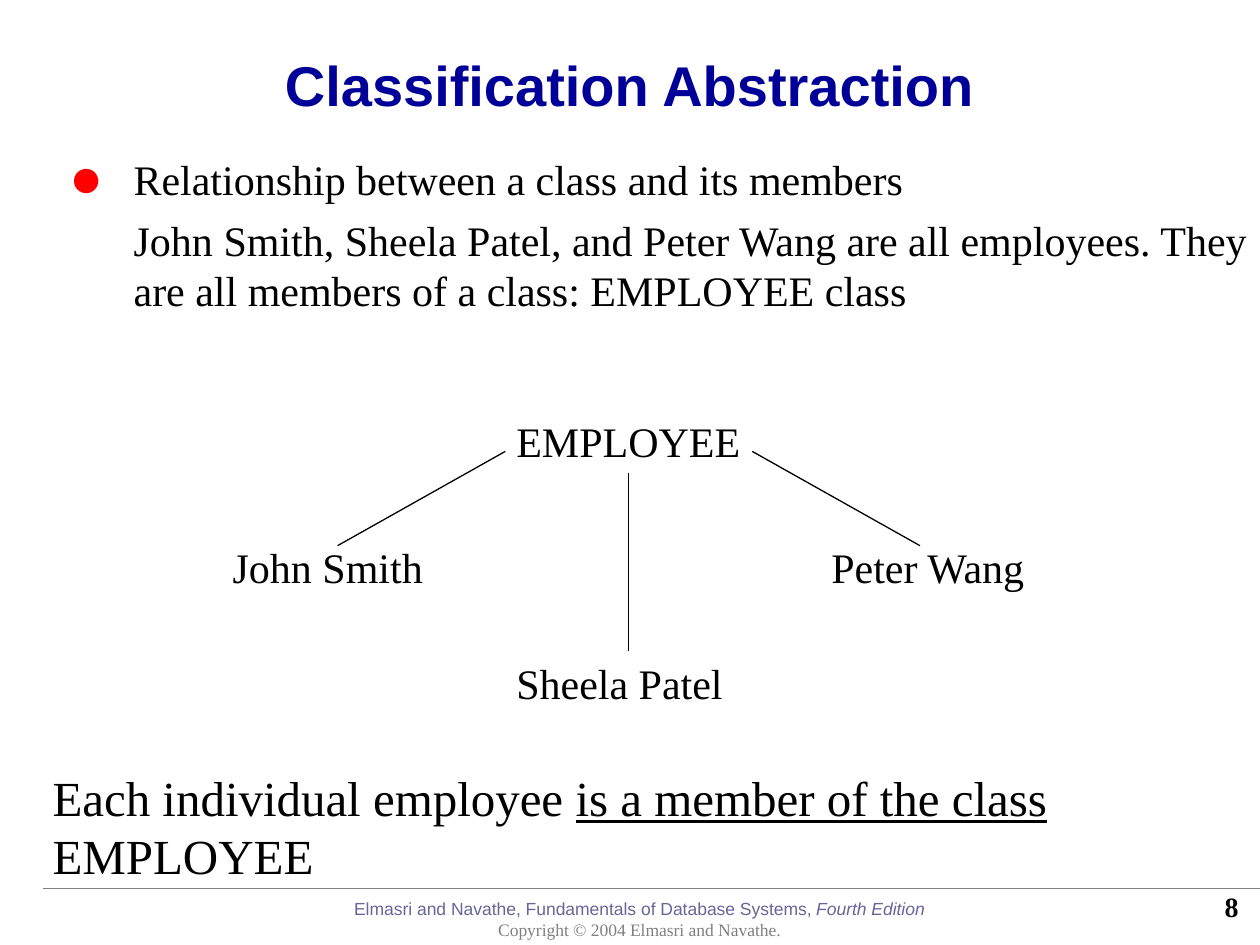
from lxml import etree
from pptx import Presentation
from pptx.dml.color import RGBColor
from pptx.enum import shapes, text
from pptx.oxml import ns
from pptx.util import Cm, Pt

COLORS = {
    "title": "000099", "text": "000000", "bullet": "FF0000",
    "book": "666699", "muted": "808080",
}
SERIF, SANS = "Times New Roman", "Arial"


def style_run(run, color="text", **formats):
    values = {"name": SERIF, "size": Pt(24), **formats}
    for key, value in values.items():
        setattr(run.font, key, value)
    run.font.color.rgb = RGBColor.from_string(COLORS[color])


def add_run(paragraph, words, **formats):
    run = paragraph.add_run()
    run.text = words
    style_run(run, **formats)


def place(shape, box):
    for key, value in zip(("left", "top", "width", "height"), box):
        setattr(shape, key, Cm(value))


def set_frame(shape, **formats):
    values = {"word_wrap": True, "auto_size": text.MSO_AUTO_SIZE.NONE,
              "vertical_anchor": text.MSO_ANCHOR.TOP, **formats}
    for key, value in values.items():
        setattr(shape.text_frame, key, value)
    return shape.text_frame


def add_text(slide, box, **formats):
    textbox = slide.shapes.add_textbox(*(Cm(value) for value in box))
    return textbox, set_frame(textbox, **formats)


def add_line(slide, start, end, color="text"):
    line = slide.shapes.add_connector(
        shapes.MSO_CONNECTOR.STRAIGHT, *(Cm(value) for value in start + end))
    line.line.width = Pt(0.75)
    line.line.color.rgb = RGBColor.from_string(COLORS[color])
    etree.SubElement(line._element.spPr, ns.qn("a:effectLst"))
    return line


def set_bullet(paragraph, char=None):
    """Hanging bullet, or a plain paragraph aligned with the bulleted text."""
    props = paragraph._p.get_or_add_pPr()
    props.set("marL", str(Cm(1.3)))
    props.set("indent", str(-Cm(1.3) if char else 0))
    if char is None:
        etree.SubElement(props, ns.qn("a:buNone"))
        return
    color = etree.SubElement(props, ns.qn("a:buClr"))
    etree.SubElement(color, ns.qn("a:srgbClr"), val=COLORS["bullet"])
    etree.SubElement(props, ns.qn("a:buSzPct"), val="135000")
    etree.SubElement(props, ns.qn("a:buFont"), typeface=SERIF)
    etree.SubElement(props, ns.qn("a:buChar"), char=char)


def fill_title(title, box):
    place(title, box)
    frame = set_frame(title, vertical_anchor=text.MSO_ANCHOR.MIDDLE)
    heading = frame.paragraphs[0]
    heading.alignment = text.PP_ALIGN.CENTER
    heading.line_spacing = 0.9
    add_run(heading, "Classification Abstraction", color="title",
            name=SANS, size=Pt(32), bold=True)


def fill_body(body, box):
    place(body, box)
    frame = set_frame(body)
    points = [
        ("Relationship between a class and its members", "●"),
        ("John Smith, Sheela Patel, and Peter Wang are all employees. "
         "They are all members of a class: EMPLOYEE class", None),
    ]
    for index, (words, bullet) in enumerate(points):
        point = frame.add_paragraph() if index else frame.paragraphs[0]
        point.space_before = Pt(6)
        set_bullet(point, bullet)
        add_run(point, words)


def add_class_tree(slide, box):
    left, top, width, height = box
    label_height = 1.27
    # Labels: offset from the left and top of the tree, and width
    labels = {
        "EMPLOYEE": (5.72, 0, 5.03),
        "John Smith": (0, 2.54, 4.34),
        "Peter Wang": (12.07, 2.54, 4.47),
        "Sheela Patel": (5.72, height - label_height, 4.67),
    }
    nodes = {}
    for name, (x, y, label_width) in labels.items():
        nodes[name], frame = add_text(
            slide, (left + x, top + y, label_width, label_height),
            word_wrap=False, auto_size=text.MSO_AUTO_SIZE.SHAPE_TO_FIT_TEXT)
        add_run(frame.paragraphs[0], name)

    # Branches, the outer two mirrored about the middle one
    middle = left + 5.72 + 5.03 / 2
    trunk = add_line(slide, (middle, top + label_height),
                     (middle, top + height - label_height))
    trunk.begin_connect(nodes["EMPLOYEE"], 2)
    for side in (-1, 1):
        add_line(slide, (middle + side * 2.49, top + 0.84),
                 (middle + side * 5.87, top + 2.74))


def add_conclusion(slide, box):
    _, frame = add_text(slide, box)
    sentence = frame.paragraphs[0]
    for words, underline in (("Each individual employee ", False),
                             ("is a member of the class", True),
                             (" EMPLOYEE", False)):
        add_run(sentence, words, size=Pt(28), underline=underline)


def add_footer(slide, box):
    left, top, width, height = box
    add_line(slide, (left + width, top), (left, top), "muted")

    # Book and copyright
    _, frame = add_text(slide, (left + 1.5, top + 0.38, 21.06, 0.79),
                        vertical_anchor=text.MSO_ANCHOR.BOTTOM)
    book, rights = frame.paragraphs[0], frame.add_paragraph()
    add_run(book, "Elmasri and Navathe, Fundamentals of Database Systems, ",
            color="book", name=SANS, size=Pt(10))
    add_run(book, "Fourth Edition", color="book", name=SANS, size=Pt(10),
            italic=True)
    add_run(rights, "Copyright © 2004 Elmasri and Navathe.",
            color="muted", size=Pt(10))
    for paragraph in (book, rights):
        paragraph.alignment = text.PP_ALIGN.CENTER

    # Page number
    _, frame = add_text(slide, (left + 19.08, top - 0.18, 5.28, 1.07),
                        vertical_anchor=text.MSO_ANCHOR.MIDDLE)
    page = frame.paragraphs[0]
    page.alignment = text.PP_ALIGN.RIGHT
    add_run(page, "8", size=Pt(16), bold=True)


def main():
    deck = Presentation()
    deck.slide_width, deck.slide_height = Cm(25.4), Cm(19.05)
    slide = deck.slides.add_slide(deck.slide_layouts[1])
    fill_title(slide.shapes.title, (1.9, 0.2, 21.59, 3.18))
    fill_body(slide.placeholders[1], (1.14, 2.97, 24.28, 3.53))
    add_class_tree(slide, (4.44, 8.26, 16.54, 6.14))
    add_conclusion(slide, (0.81, 15.34, 24.59, 2.64))
    add_footer(slide, (0.86, 17.91, 24.54, 1.14))
    deck.save("out.pptx")


if __name__ == "__main__":
    main()
